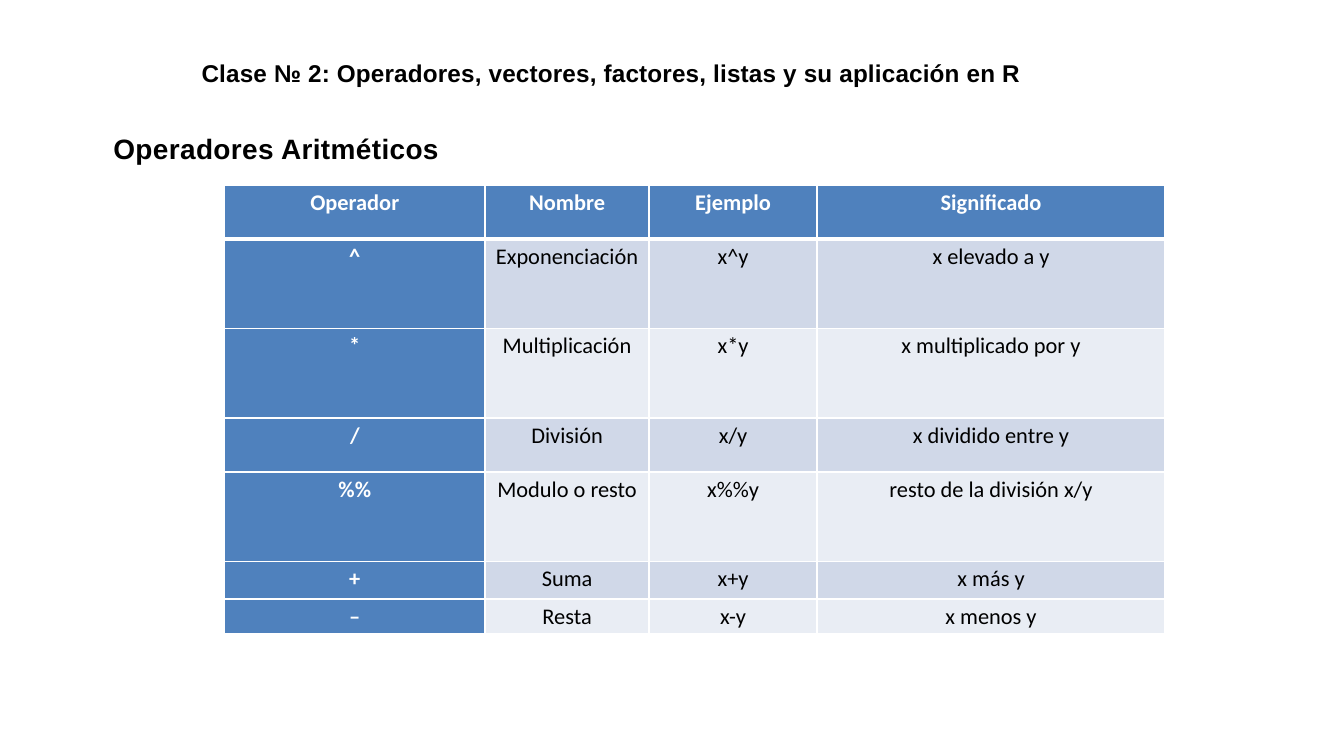
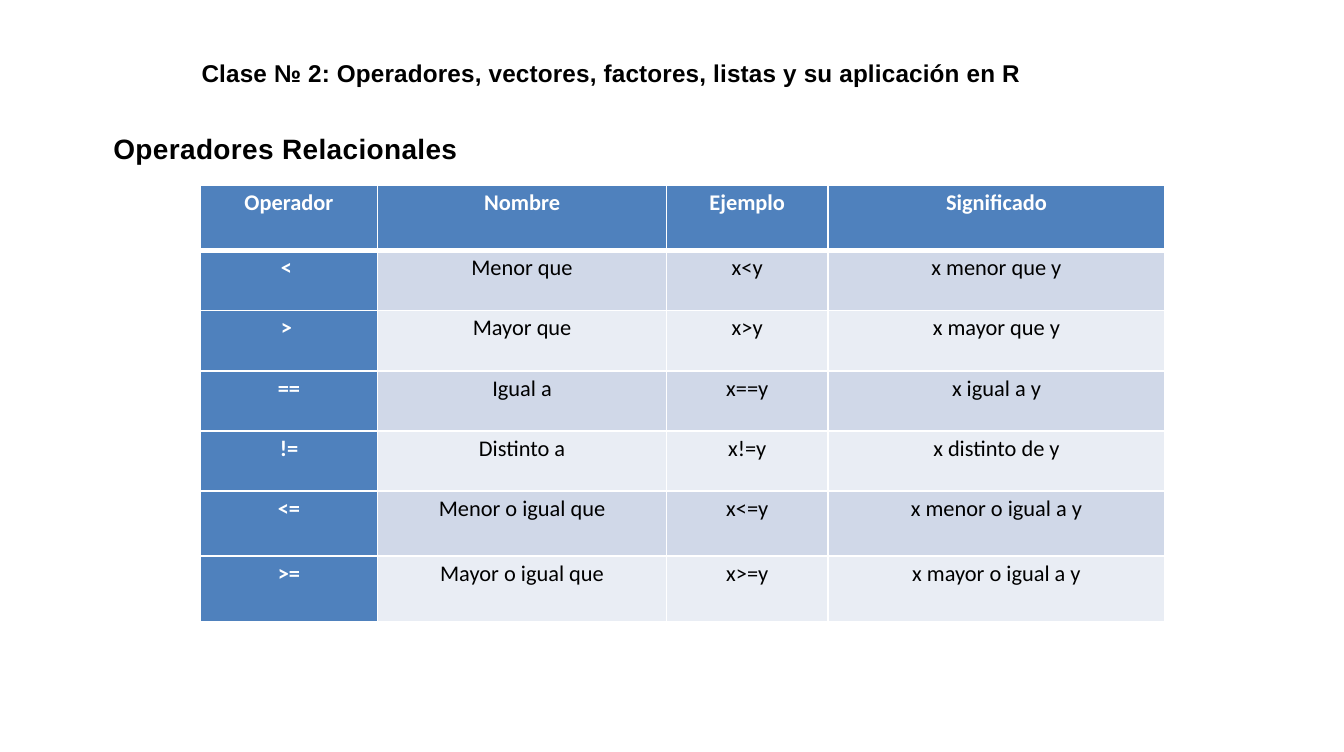
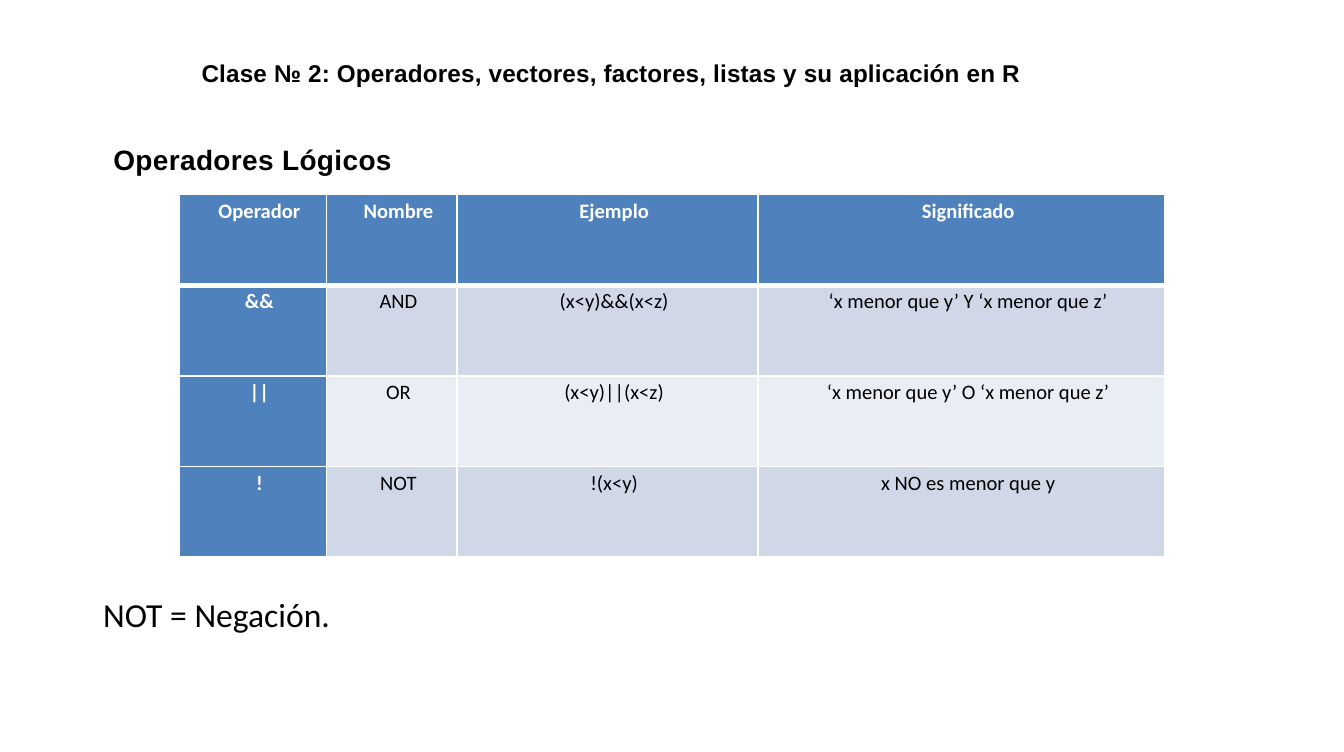
from dataclasses import dataclass

from lxml import etree
from pptx import Presentation
from pptx.dml.color import RGBColor
from pptx.enum.text import MSO_AUTO_SIZE, PP_ALIGN
from pptx.oxml.ns import qn
from pptx.util import Length, Pt

CENTER, JUSTIFY, LEFT = PP_ALIGN.CENTER, PP_ALIGN.JUSTIFY, PP_ALIGN.LEFT
FIT_SHAPE = MSO_AUTO_SIZE.SHAPE_TO_FIT_TEXT

BLACK = RGBColor(0x00, 0x00, 0x00)
WHITE = RGBColor(0xFF, 0xFF, 0xFF)
BLUE = RGBColor(0x4F, 0x81, 0xBD)
BANDS = (RGBColor(0xD0, 0xD8, 0xE8), RGBColor(0xE9, 0xED, 0xF4))

# The slide is a grid of 100 columns by 56 rows
WIDTH, HEIGHT = Pt(720), Pt(403)
COLUMNS, ROWS = 100, 56
TABLE_RIGHT = 86.7

COURSE = "Clase № 2: Operadores, vectores, factores, listas y su aplicación en R"
HEADER = ("Operador", "Nombre", "Ejemplo", "Significado")


@dataclass(frozen=True)
class TextStyle:
    font: str
    size: float
    bold: bool = False
    color: RGBColor = BLACK
    tracking: float = 0
    align: PP_ALIGN = LEFT
    indent: float = 0
    before: float = 0
    after: float = 0
    line: float = 1.0


@dataclass(frozen=True)
class Place:
    left: float
    top: float
    width: float
    height: float


@dataclass(frozen=True)
class OperatorPage:
    title: str
    title_top: float
    table_top: float
    widths: tuple[float, ...]
    heights: tuple[float, ...]
    body: tuple[tuple[str, ...], ...]
    size: float = 12
    margin: float = 0.7
    indent: float = 0
    note: str = ""


COURSE_STYLE = TextStyle("Arial", 13, True, tracking=0.1, indent=0.1, before=1)
TITLE_STYLE = TextStyle("Arial", 15, True, tracking=0.2, indent=0.1, before=1)
NOTE_STYLE = TextStyle("Calibri", 18, align=JUSTIFY, after=10, line=1.15)

PAGES = (
    OperatorPage(
        "Operadores Aritméticos", 9.7, 13.8,
        (19.4, 12.2, 12.5, 25.9), (4, 6.67, 6.67, 4, 6.67, 2.8, 2.6),
        (
            ("^", "Exponenciación", "x^y", "x elevado a y"),
            ("*", "Multiplicación", "x*y", "x multiplicado por y"),
            ("/", "División", "x/y", "x dividido entre y"),
            ("%%", "Modulo o resto", "x%%y", "resto de la división x/y"),
            ("+", "Suma", "x+y", "x más y"),
            ("–", "Resta", "x-y", "x menos y"),
        ),
        margin=0.4,
    ),
    OperatorPage(
        "Operadores Relacionales", 9.7, 13.8,
        (13.2, 21.5, 12, 25.1), (4.86, 4.48, 4.48, 4.48, 4.48, 4.86, 4.86),
        (
            ("<\u00a0", "Menor que", "x<y", "x menor que y"),
            (">\u00a0", "Mayor que", "x>y", "x mayor que y"),
            ("==", "Igual a", "x==y", "x igual a y"),
            ("!=", "Distinto a", "x!=y", "x distinto de y"),
            ("<=", "Menor o igual que", "x<=y", "x menor o igual a y"),
            (">=", "Mayor o igual que", "x>=y", "x mayor o igual a y"),
        ),
    ),
    OperatorPage(
        "Operadores Lógicos", 10.5, 14.5,
        (11, 9.7, 22.4, 30.3), (6.75,) * 4,
        (
            ("&&", "AND", "(x<y)&&(x<z)", "‘x menor que y’ Y ‘x menor que z’"),
            ("||", "OR", "(x<y)||(x<z)", "‘x menor que y’ O ‘x menor que z’"),
            ("!", "NOT", "!(x<y)", "x NO es menor que y"),
        ),
        size=11, indent=1, note="NOT = Negación.",
    ),
)


def across(columns: float) -> Length:
    return Length(round(WIDTH * columns / COLUMNS))


def down(rows: float) -> Length:
    return Length(round(HEIGHT * rows / ROWS))


def write(frame, text: str, style: TextStyle) -> None:
    """Fill a text frame with one styled paragraph."""
    frame.text = text
    para = frame.paragraphs[0]
    para.alignment = style.align
    para.line_spacing = style.line
    para.space_before, para.space_after = Pt(style.before), Pt(style.after)
    properties = para._p.get_or_add_pPr()
    properties.set("marL", str(across(style.indent)))
    properties.set("indent", "0")
    span = para.runs[0]
    span.font.name, span.font.size = style.font, Pt(style.size)
    span.font.bold = style.bold
    span.font.color.rgb = style.color
    if style.tracking:
        span._r.get_or_add_rPr().set("spc", str(round(style.tracking * 100)))


def add_text(page, place: Place, text: str, style: TextStyle, tight: bool = True) -> None:
    box = page.shapes.add_textbox(across(place.left), down(place.top),
                                  across(place.width), down(place.height))
    frame = box.text_frame
    frame.word_wrap = True
    frame.auto_size = FIT_SHAPE
    if tight:
        frame.margin_left = frame.margin_right = frame.margin_bottom = 0
        frame.margin_top = down(0.1)
    write(frame, text, style)


def add_borders(cell, top: float, bottom: float) -> None:
    """Draw white cell borders; widths are in points."""
    properties = cell._tc.get_or_add_tcPr()
    for side, width in (("L", 1), ("R", 1), ("T", top), ("B", bottom)):
        line = etree.SubElement(properties, qn(f"a:ln{side}"), w=str(Pt(width)))
        fill = etree.SubElement(line, qn("a:solidFill"))
        etree.SubElement(fill, qn("a:srgbClr"), val=str(WHITE))


def add_operator_table(page, content: OperatorPage) -> None:
    width, height = sum(content.widths), sum(content.heights)
    table = page.shapes.add_table(
        len(content.heights), len(content.widths),
        across(TABLE_RIGHT - width), down(content.table_top),
        across(width), down(height)).table
    table.first_row = table.horz_banding = False
    for column, share in zip(table.columns, content.widths):
        column.width = across(share)
    for row, share in zip(table.rows, content.heights):
        row.height = down(share)

    for row, texts in enumerate((HEADER, *content.body)):
        for column, text in enumerate(texts):
            cell = table.cell(row, column)
            strong = row == 0 or column == 0
            cell.margin_left = cell.margin_right = across(content.margin)
            cell.margin_top = cell.margin_bottom = 0
            # A thick rule parts the header from the body
            add_borders(cell, 3 if row == 1 else 1, 3 if row == 0 else 1)
            cell.fill.solid()
            cell.fill.fore_color.rgb = BLUE if strong else BANDS[(row - 1) % 2]
            write(cell.text_frame, text, TextStyle(
                "Calibri", content.size, strong, WHITE if strong else BLACK,
                align=CENTER, indent=content.indent, after=18, line=1.15))


def add_page(deck, content: OperatorPage) -> None:
    page = deck.slides.add_slide(deck.slide_layouts[6])
    # Section title and course heading
    add_text(page, Place(8.34, content.title_top, 32.2, 2.7), content.title, TITLE_STYLE)
    add_text(page, Place(14.9, 4.24, 67.6, 2.3), COURSE, COURSE_STYLE)
    add_operator_table(page, content)
    # Remark under the table
    if content.note:
        add_text(page, Place(6.7, 43.3, 50, 4.3), content.note, NOTE_STYLE, tight=False)


deck = Presentation()
deck.slide_width, deck.slide_height = WIDTH, HEIGHT
for content in PAGES:
    add_page(deck, content)
deck.save("out.pptx")
